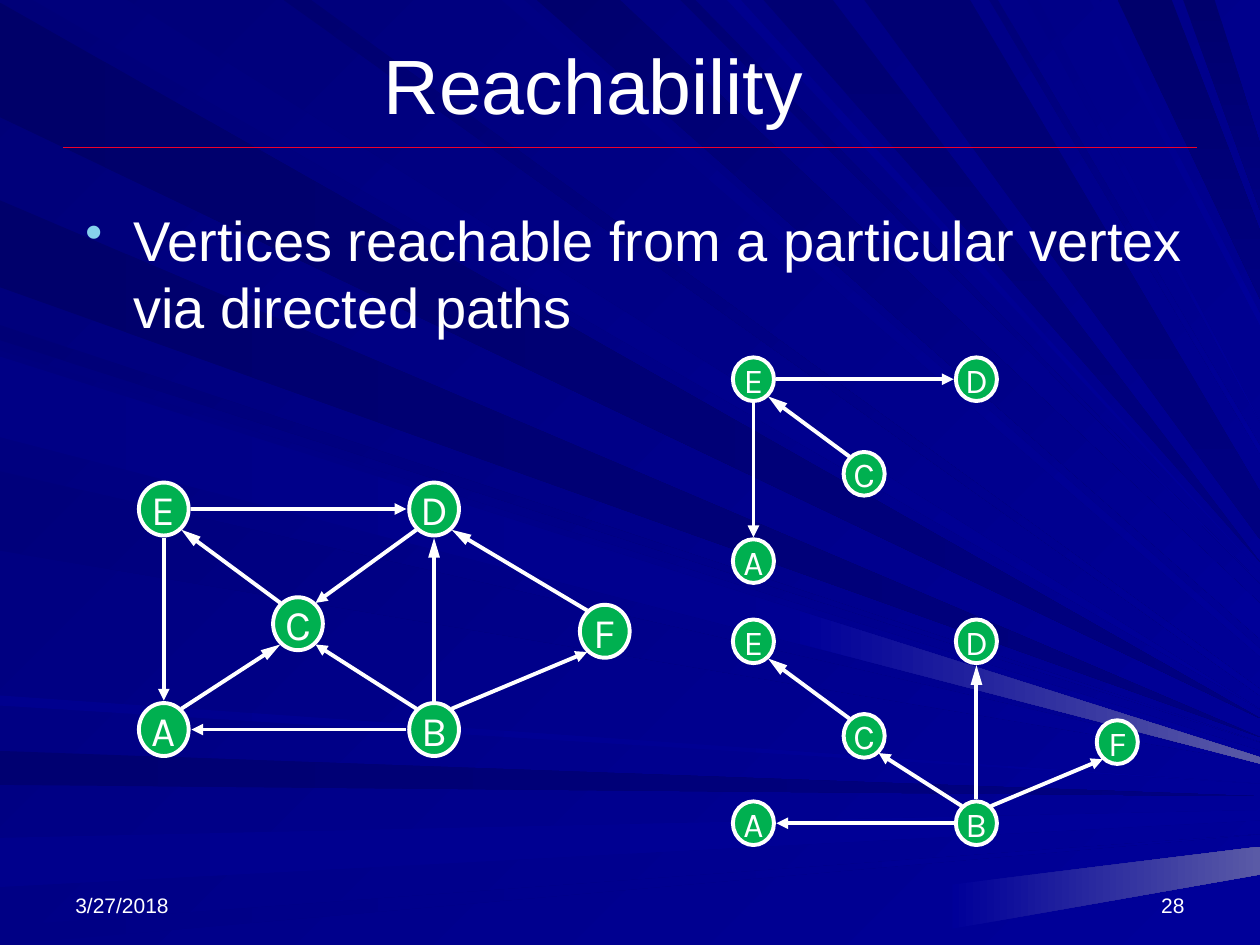
from dataclasses import dataclass

from lxml import etree
from pptx import Presentation
from pptx.dml.color import RGBColor
from pptx.enum.shapes import MSO_CONNECTOR, MSO_SHAPE
from pptx.enum.text import MSO_ANCHOR, PP_ALIGN
from pptx.oxml.ns import qn
from pptx.util import Inches, Pt

LINE, OVAL = MSO_CONNECTOR.STRAIGHT, MSO_SHAPE.OVAL
TOP, MID, LOW = MSO_ANCHOR.TOP, MSO_ANCHOR.MIDDLE, MSO_ANCHOR.BOTTOM
LEFT, CENTER, RIGHT = PP_ALIGN.LEFT, PP_ALIGN.CENTER, PP_ALIGN.RIGHT

WIDE, HIGH = Inches(10), Inches(7.5)
COLS, ROWS = 100, 75
COL, ROW = WIDE / COLS, HIGH / ROWS
HEX = {"white": "FFFFFF", "green": "00B050", "red": "EF0129", "sky": "86D1EC",
       "dark": "000078", "blue": "000099", "navy": "000080", "glow": "5A5AA6"}
KINDS = {"flat": ("navy", 0), "low": ("blue", 0), "wide": ("blue", 45),
         "fan": ("blue", 45), "steep": ("navy", 90), "glow": ("glow", 0)}
DOWN = {"fan", "steep"}


@dataclass
class Beam:
    kind: str
    tint: str
    near: float
    next: float
    far: float
    span: float = 0
    base: float = 0


@dataclass
class Label:
    text: str
    box: tuple
    size: int
    anchor: object
    align: object
    bullet: bool = False


@dataclass
class Graph:
    left: float
    top: float
    scale: float
    size: int
    nodes: str
    edges: str


BEAMS = [
    Beam("flat", "000069", 0.2, 9.3, 57),
    Beam("fan", "00007B", 2.6, 10.1, 56.3),
    Beam("flat", "000071", 59.6, 62.3, 63.2),
    Beam("low", "00008C", 66.5, 70.4, 64.3, 0.8),
    Beam("low", "000085", 73.5, 75, 66.2),
    Beam("glow", "000099", 70.2, 73.7, 67.2, 2.2, 75.6),
    Beam("wide", "000076", 25.8, 27, 58.9),
    Beam("flat", "00006B", 15.9, 22.8, 58.5),
    Beam("fan", "000083", 39.8, 41.6, 51.5, 0.6),
    Beam("fan", "00006D", 42.6, 49.2, 47.9, 2.8),
    Beam("fan", "000073", 54, 55.2, 46.3),
    Beam("steep", "000073", 60.6, 66.1, 44.6),
    Beam("steep", "00006B", 88.7, 93, 18.3, 5.4),
    Beam("steep", "00006D", 93.9, 96.4, 11.4, 5.3),
    Beam("wide", "00007E", 27.8, 34.2, 59.6, 0.6),
    Beam("wide", "00007B", 37.4, 43.7, 60.5),
    Beam("low", "00008E", 55.2, 56, 62.2),
    Beam("fan", "000070", 22.5, 24.7, 54.7, 0.5),
    Beam("fan", "00008E", 57.7, 58.8, 45.4),
    Beam("steep", "000073", 68.6, 77, 39, 3.8),
    Beam("fan", "000078", 78.5, 79.2, 35.4, 0.6),
    Beam("fan", "000085", 81.5, 82.4, 33.5),
    Beam("fan", "00008A", 86.5, 87.2, 24.9, 0.9),
    Beam("low", "000085", 28.3, 34.7, 60.1, 0.5),
    Beam("glow", "000099", 48.5, 51.1, 60.1, 0.5, 63.5),
]
LABELS = [
    Label("Reachability", (11.7, 2.5, 70.8, 8.3), 44, MID, CENTER),
    Label("Vertices reachable from a particular vertex via directed paths",
          (5.8, 15.8, 90, 12.5), 32, TOP, LEFT, True),
    Label("3/27/2018", (5, 68.3, 23.3, 5), 12, LOW, LEFT),
    Label("28", (71.7, 68.3, 23.3, 5), 12, LOW, RIGHT),
]
SPOTS = {"A": (0, 17.5), "C": (10.65, 9.1), "E": (0, 0),
         "B": (21.45, 17.5), "D": (21.45, 0), "F": (35, 9.7)}
LONG = {"CE", "BD", "FD", "AC"}
NODE = (3.95, 4.2)
GAP, SLANT = (2.2, 2.3), (1.4, 1.65)
GRAPHS = [
    Graph(13, 40.4, 1, 24, "ACEBDF", "FD BA CE ED BD AC DC EA BF BC"),
    Graph(59.8, 30.1, 0.825, 20, "ACED", "CE ED EA"),
    Graph(59.8, 50.9, 0.825, 20, "ACEBDF", "BA CE BD BF BC"),
]


def rgb(code: str) -> RGBColor:
    return RGBColor.from_string(code)


def place(*cells: float) -> list:
    return [round(cell * (ROW if i % 2 else COL)) for i, cell in enumerate(cells)]


def apply(target, values: dict) -> None:
    for name, value in values.items():
        setattr(target, name, value)


def shade(fill, start: str, end: str, angle: int) -> None:
    fill.gradient()
    fill.gradient_angle = (360 - angle) % 360
    for stop, code in zip(fill.gradient_stops, (start, end)):
        stop.color.rgb = rgb(code)


def draw_beam(shapes, beam: Beam) -> None:
    end, angle = KINDS[beam.kind]
    low, high = (COLS, beam.far + beam.span), (COLS, beam.far)
    if beam.kind in DOWN:
        start, last = (beam.near, beam.base), (beam.next, beam.base)
    else:
        start, last = (beam.base, beam.next), (beam.base, beam.near)
    form = shapes.build_freeform(*place(*start), scale=1.0)
    form.add_line_segments([place(*point) for point in (low, high, last)], close=True)
    shape = form.convert_to_shape()
    shape.shadow.inherit = False
    shape.line.fill.background()
    shade(shape.fill, beam.tint, HEX[end], angle)


def draw_line(shapes, ends: tuple, tint: str, width: float, tip: str = "") -> None:
    line = shapes.add_connector(LINE, *place(*ends))
    line.line.color.rgb = rgb(HEX[tint])
    line.line.width = Pt(width)
    if tip:
        etree.SubElement(line.line._get_or_add_ln(), qn("a:tailEnd"),
                         type="triangle", w="med", len=tip)
    etree.SubElement(line._element.spPr, qn("a:effectLst"))


def write(shape, text: str, face: str, size: int, align, frame: dict):
    apply(shape.text_frame, frame)
    para = shape.text_frame.paragraphs[0]
    para.alignment = align
    run = para.add_run()
    run.text = text
    apply(run.font, {"name": face, "size": Pt(size)})
    run.font.color.rgb = rgb(HEX["white"])
    return para


def add_mark(para) -> None:
    props = para._p.get_or_add_pPr()
    props.set("marL", str(Inches(0.38)))
    props.set("indent", str(-Inches(0.38)))
    tint = etree.SubElement(props, qn("a:buClr"))
    etree.SubElement(tint, qn("a:srgbClr"), val=HEX["sky"])
    etree.SubElement(props, qn("a:buSzPct"), val="90000")
    etree.SubElement(props, qn("a:buChar"), char="•")


def draw_label(shapes, label: Label) -> None:
    box = shapes.add_textbox(*place(*label.box))
    frame = {"word_wrap": True, "vertical_anchor": label.anchor}
    para = write(box, label.text, "Arial", label.size, label.align, frame)
    if label.bullet:
        add_mark(para)


def draw_node(shapes, graph: Graph, name: str) -> None:
    x, y = SPOTS[name]
    wide, high = NODE
    k = graph.scale
    node = shapes.add_shape(OVAL, *place(graph.left + (x - wide / 2) * k,
                                         graph.top + (y - high / 2) * k, wide * k, high * k))
    node.shadow.inherit = False
    node.fill.solid()
    node.fill.fore_color.rgb = rgb(HEX["green"])
    node.line.color.rgb = rgb(HEX["white"])
    node.line.width = Pt(2.25)
    write(node, name, "Karla", graph.size, CENTER, {"word_wrap": False, "vertical_anchor": MID})


def draw_edge(shapes, graph: Graph, edge: str) -> None:
    (x1, y1), (x2, y2) = (SPOTS[name] for name in edge)
    right, down = (x2 > x1) - (x2 < x1), (y2 > y1) - (y2 < y1)
    gap = SLANT if right and down else GAP
    dx, dy = right * gap[0], down * gap[1]
    k, left, top = graph.scale, graph.left, graph.top
    ends = (left + (x1 + dx) * k, top + (y1 + dy) * k,
            left + (x2 - dx) * k, top + (y2 - dy) * k)
    draw_line(shapes, ends, "white", 2.25, "lg" if edge in LONG else "med")


def main() -> None:
    deck = Presentation()
    apply(deck, {"slide_width": WIDE, "slide_height": HIGH})
    slide = deck.slides.add_slide(deck.slide_layouts[6])
    shapes = slide.shapes
    shade(slide.background.fill, HEX["dark"], HEX["blue"], 45)
    for beam in BEAMS:
        draw_beam(shapes, beam)
    draw_line(shapes, (5, 11.7, 95, 11.7), "red", 0.75)
    for label in LABELS:
        draw_label(shapes, label)
    for graph in GRAPHS:
        for name in graph.nodes:
            draw_node(shapes, graph, name)
        for edge in graph.edges.split():
            draw_edge(shapes, graph, edge)
    deck.save("out.pptx")


if __name__ == "__main__":
    main()
